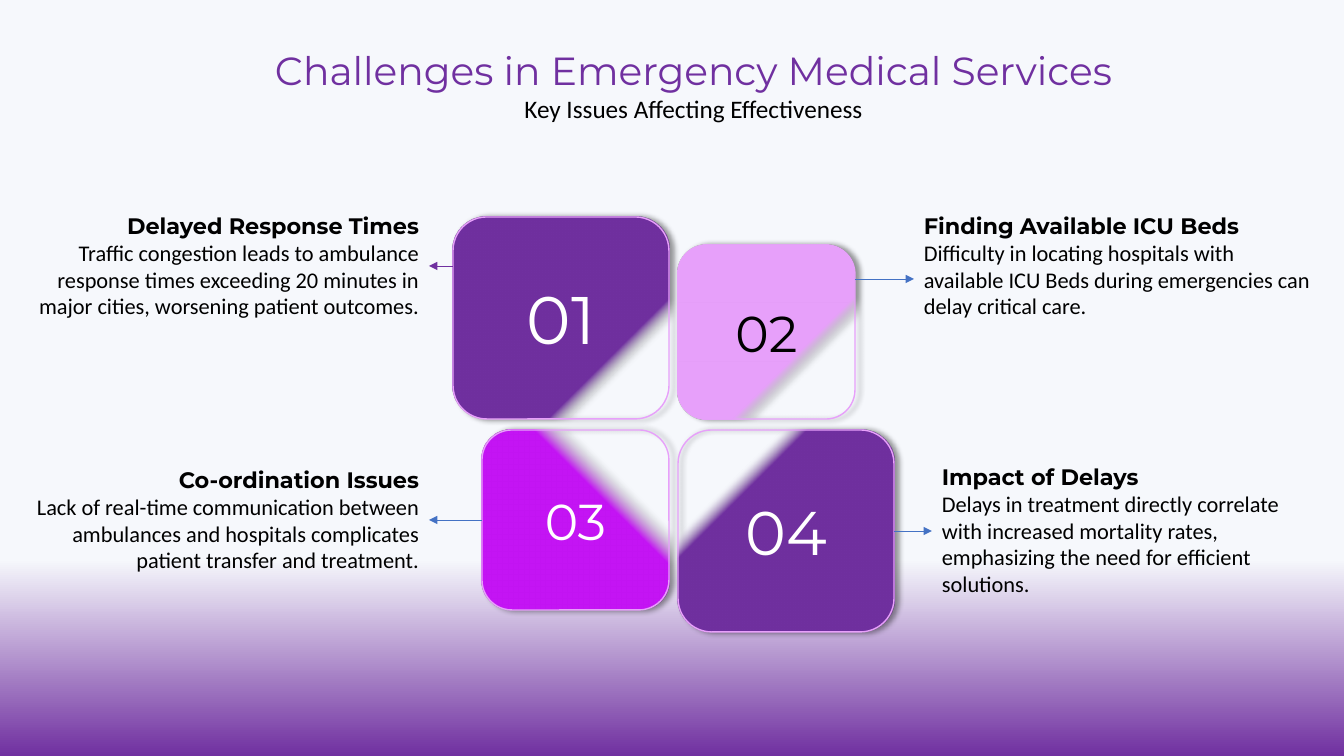
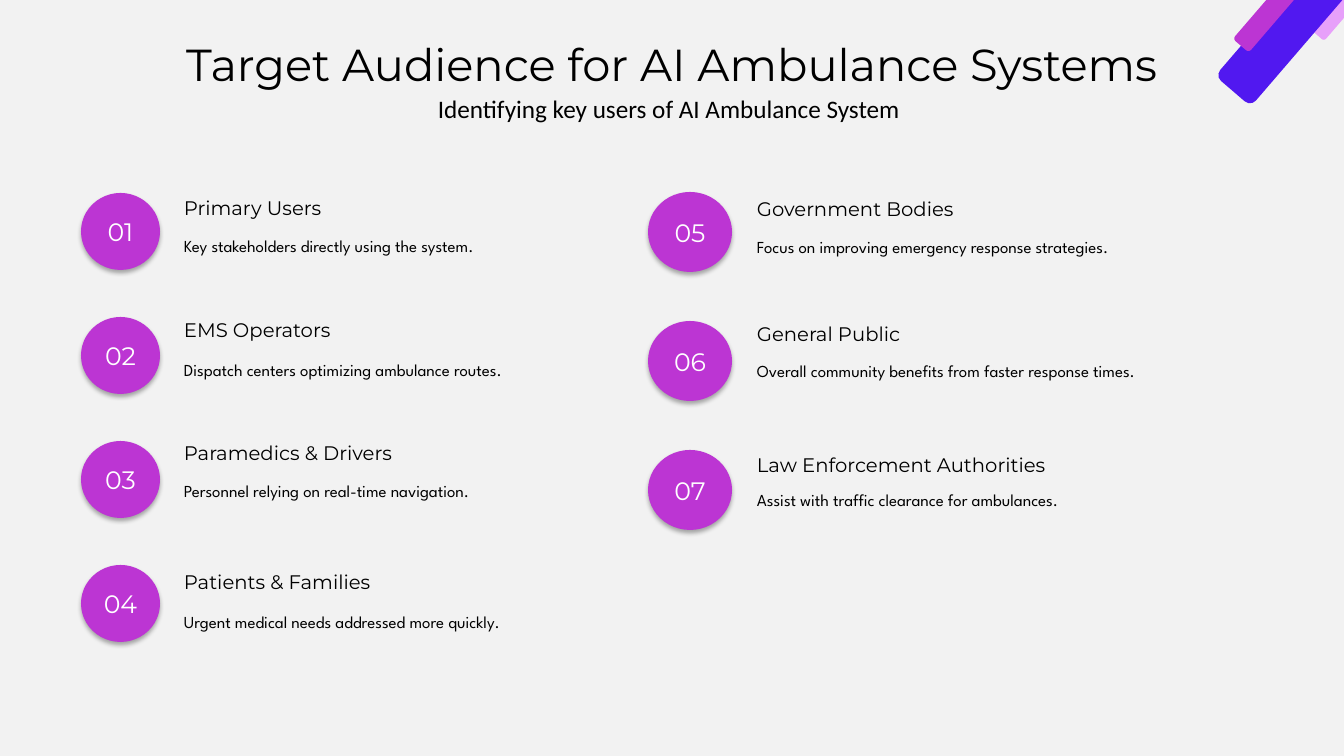
import typing

import lxml.etree
import pptx
import pptx.dml.color
import pptx.enum.dml
import pptx.enum.shapes
import pptx.enum.text
import pptx.oxml.ns
import pptx.util

SLIDE_WIDTH, SLIDE_HEIGHT = 1344, 756
EMU_PER_PX = 12192000 / SLIDE_WIDTH

PURPLE, LILAC, MAGENTA, ORCHID = "7030A0", "E7A0FA", "C414F4", "BC35D3"
INDIGO, BLUE = "5118F0", "4472C4"
MIST, GREY, BLACK, WHITE = "F6F8FC", "F2F2F2", "000000", "FFFFFF"

ALIGN = pptx.enum.text.PP_ALIGN
ANCHOR = pptx.enum.text.MSO_ANCHOR
SHAPE = pptx.enum.shapes.MSO_SHAPE


def style(name, size, color=BLACK, bold=False):
    """Pair the font values with the text colour."""
    return {"name": name, "size": pptx.util.Pt(size), "bold": bold}, color


def title_style(size, color):
    return style("Montserrat", size, color)


SUBTITLE = style("Calibri", 18)
ISSUE_HEADING = style("Montserrat", 16, bold=True)
ISSUE_BODY = style("Calibri", 16)
AUDIENCE_HEADING = style("Montserrat", 14)
AUDIENCE_BODY = style("League Spartan", 12)
AUDIENCE_NUMBER = style("Montserrat", 18, WHITE)


class Tile(typing.NamedTuple):
    number: str
    size: tuple
    color: str
    clear_corner: tuple  # (1, 1) is bottom right
    stops: tuple
    number_style: tuple


class Issue(typing.NamedTuple):
    heading: str
    body: str
    box: tuple
    arrow_y: int
    arrow_color: str


TILES = [
    Tile("01", (216, 202), PURPLE, (1, 1), (0.24, 0.29), style("Montserrat", 48, WHITE)),
    Tile("02", (177, 174), LILAC, (1, 1), (0.29, 0.35), style("Montserrat", 36)),
    Tile("03", (187, 180), MAGENTA, (1, 0), (0.28, 0.37), style("Montserrat", 36, WHITE)),
    Tile("04", (216, 202), PURPLE, (0, 0), (0.25, 0.31), style("Montserrat", 44, WHITE)),
]

ISSUES = [
    Issue("Delayed Response Times",
          "Traffic congestion leads to ambulance response times exceeding 20 minutes "
          "in major cities, worsening patient outcomes.",
          (18, 207, 411, 119), 266, PURPLE),
    Issue("Finding Available ICU Beds",
          "Difficulty in locating hospitals with available ICU Beds during emergencies "
          "can delay critical care.",
          (914, 207, 411, 119), 279, BLUE),
    Issue("Co-ordination Issues",
          "Lack of real-time communication between ambulances and hospitals complicates "
          "patient transfer and treatment.",
          (18, 461, 411, 119), 520, BLUE),
    Issue("Impact of Delays",
          "Delays in treatment directly correlate with increased mortality rates, "
          "emphasizing the need for efficient solutions.",
          (932, 458, 394, 146), 531, BLUE),
]

# heading, body, and the drop of each below the top of its circle
LEFT_AUDIENCE = [
    ("Primary Users", "Key stakeholders directly using the system.", -2, 38),
    ("EMS Operators", "Dispatch centers optimizing ambulance routes.", -4, 38),
    ("Paramedics & Drivers", "Personnel relying on real-time navigation.", -5, 35),
    ("Patients & Families", "Urgent medical needs addressed more quickly.", 0, 42),
]
RIGHT_AUDIENCE = [
    ("Government Bodies", "Focus on improving emergency response strategies.", 0, 40),
    ("General Public", "Overall community benefits from faster response times.", -4, 35),
    ("Law Enforcement Authorities", "Assist with traffic clearance for ambulances.", -2, 35),
]


def px(*lengths):
    return [pptx.util.Emu(round(length * EMU_PER_PX)) for length in lengths]


def rgb(color):
    return pptx.dml.color.RGBColor.from_string(color)


def add_element(parent, tag, **attributes):
    element = lxml.etree.SubElement(parent, pptx.oxml.ns.qn(tag))
    for name, value in attributes.items():
        element.set(name, str(value))
    return element


def write_lines(text_frame, lines, align, anchor):
    """Fill a text frame with one paragraph for each (text, style) pair."""
    text_frame.word_wrap = True
    text_frame.vertical_anchor = anchor
    for index, (text, (font_values, color)) in enumerate(lines):
        paragraph = text_frame.add_paragraph() if index else text_frame.paragraphs[0]
        paragraph.alignment = align
        run = paragraph.add_run()
        run.text = text
        for name, value in font_values.items():
            setattr(run.font, name, value)
        run.font.color.rgb = rgb(color)


def add_text(slide, box, lines, align=ALIGN.LEFT, anchor=ANCHOR.TOP):
    write_lines(slide.shapes.add_textbox(*px(*box)).text_frame, lines, align, anchor)


def add_shape(slide, kind, box, color, rotation=0):
    shape = slide.shapes.add_shape(kind, *px(*box))
    shape.shadow.inherit = False
    shape.fill.solid()
    shape.fill.fore_color.rgb = rgb(color)
    shape.line.fill.background()
    shape.rotation = rotation
    return shape


def add_shadow(shape, opacity, blur, distance, angle):
    """Cast a black shadow; blur and distance are in points."""
    effects = shape.element.spPr.find(pptx.oxml.ns.qn("a:effectLst"))
    shadow = add_element(effects, "a:outerShdw", blurRad=pptx.util.Pt(blur),
                         dist=pptx.util.Pt(distance), dir=angle * 60000,
                         algn="ctr", rotWithShape=0)
    add_element(add_element(shadow, "a:srgbClr", val=BLACK),
                "a:alpha", val=opacity * 1000)


def set_gradient(fill, stops):
    fill.gradient()
    for stop, (position, color) in zip(fill.gradient_stops, stops):
        stop.position = position
        stop.color.rgb = rgb(color)


def clear_gradient_corner(shape, corner):
    """Make the gradient radiate from a corner that is fully transparent."""
    gradient = shape.element.spPr.find(pptx.oxml.ns.qn("a:gradFill"))
    first_color = next(gradient.iter(pptx.oxml.ns.qn("a:srgbClr")))
    add_element(first_color, "a:alpha", val=0)
    gradient.remove(gradient.find(pptx.oxml.ns.qn("a:lin")))
    right, bottom = corner
    radial = add_element(gradient, "a:path")
    radial.set("path", "circle")
    add_element(radial, "a:fillToRect", l=100000 * right, t=100000 * bottom,
                r=100000 * (1 - right), b=100000 * (1 - bottom))


def add_arrow(slide, start_x, end_x, y, color):
    connector = slide.shapes.add_connector(
        pptx.enum.shapes.MSO_CONNECTOR.STRAIGHT, *px(start_x, y, end_x, y))
    connector.line.color.rgb = rgb(color)
    connector.line.width = pptx.util.Pt(0.5)
    add_element(connector.line._get_or_add_ln(), "a:tailEnd", type="triangle")
    add_element(connector.element.spPr, "a:effectLst")


def add_tile(slide, box, tile):
    shape = add_shape(slide, SHAPE.ROUNDED_RECTANGLE, box, tile.color)
    set_gradient(shape.fill, zip(tile.stops, (MIST, tile.color)))
    clear_gradient_corner(shape, tile.clear_corner)
    shape.line.color.rgb = rgb(LILAC)
    shape.line.width = pptx.util.Pt(1)
    add_shadow(shape, 40, 4, 3, 0)
    write_lines(shape.text_frame, [(tile.number, tile.number_style)],
                ALIGN.CENTER, ANCHOR.MIDDLE)


def add_issue_grid(slide, gap):
    """Place the tiles around the crossing gap, each with its text and arrow."""
    gap_left, gap_top, gap_width, gap_height = gap
    for index, (tile, issue) in enumerate(zip(TILES, ISSUES)):
        row, column = divmod(index, 2)
        width, height = tile.size
        left = gap_left + gap_width if column else gap_left - width
        top = gap_top + gap_height if row else gap_top - height
        add_tile(slide, (left, top, width, height), tile)

        text_left, _, text_width, _ = issue.box
        add_text(slide, issue.box,
                 [(issue.heading, ISSUE_HEADING), (issue.body, ISSUE_BODY)],
                 ALIGN.LEFT if column else ALIGN.RIGHT)
        start_x = left + width if column else left
        end_x = text_left if column else text_left + text_width
        add_arrow(slide, start_x, end_x, issue.arrow_y, issue.arrow_color)


def add_audience_column(slide, box, pitch, circle_size, text_left, first_number, entries):
    left, top, width = box
    for index, (heading, body, heading_drop, body_drop) in enumerate(entries):
        row_top = top + index * pitch
        circle = add_shape(slide, SHAPE.OVAL, (left, row_top, *circle_size), ORCHID)
        add_shadow(circle, 32, 3.5, 2.2, 90)
        write_lines(circle.text_frame, [(f"{first_number + index:02d}", AUDIENCE_NUMBER)],
                    ALIGN.CENTER, ANCHOR.MIDDLE)
        for text, text_style, drop in ((heading, AUDIENCE_HEADING, heading_drop),
                                       (body, AUDIENCE_BODY, body_drop)):
            add_text(slide, (left + text_left, row_top + drop, width - text_left, 46),
                     [(text, text_style)])


def add_corner_bars(slide):
    for box, color in (((1332, -26, 17, 70), LILAC),
                       ((1260, -45, 47, 155), INDIGO),
                       ((1258, -29, 21, 85), ORCHID)):
        add_shape(slide, SHAPE.ROUNDED_RECTANGLE, box, color, rotation=40.7)


def build_challenges(slide):
    set_gradient(slide.background.fill, ((0.74, MIST), (1, PURPLE)))
    slide.background.fill.gradient_angle = 270
    add_issue_grid(slide, (669, 419, 9, 11))
    add_text(slide, (204, 14, 979, 141),
             [("Challenges in Emergency Medical Services", title_style(28, PURPLE)),
              ("Key Issues Affecting Effectiveness", SUBTITLE)],
             ALIGN.CENTER, ANCHOR.MIDDLE)


def build_audience(slide):
    slide.background.fill.solid()
    slide.background.fill.fore_color.rgb = rgb(GREY)
    add_corner_bars(slide)
    add_text(slide, (81, 32, 1182, 65),
             [("Target Audience for AI Ambulance Systems", title_style(32, BLACK))],
             ALIGN.CENTER)
    add_text(slide, (428, 88, 551, 40),
             [("Identifying key users of AI Ambulance System", SUBTITLE)])
    add_audience_column(slide, (81, 193, 560), 124, (79, 77), 93, 1, LEFT_AUDIENCE)
    add_audience_column(slide, (648, 192, 680), 129, (84, 80), 99, 5, RIGHT_AUDIENCE)


def main():
    presentation = pptx.Presentation()
    presentation.slide_width, presentation.slide_height = px(SLIDE_WIDTH, SLIDE_HEIGHT)
    blank = presentation.slide_layouts[6]
    for build in (build_challenges, build_audience):
        build(presentation.slides.add_slide(blank))
    presentation.save("out.pptx")


if __name__ == "__main__":
    main()
